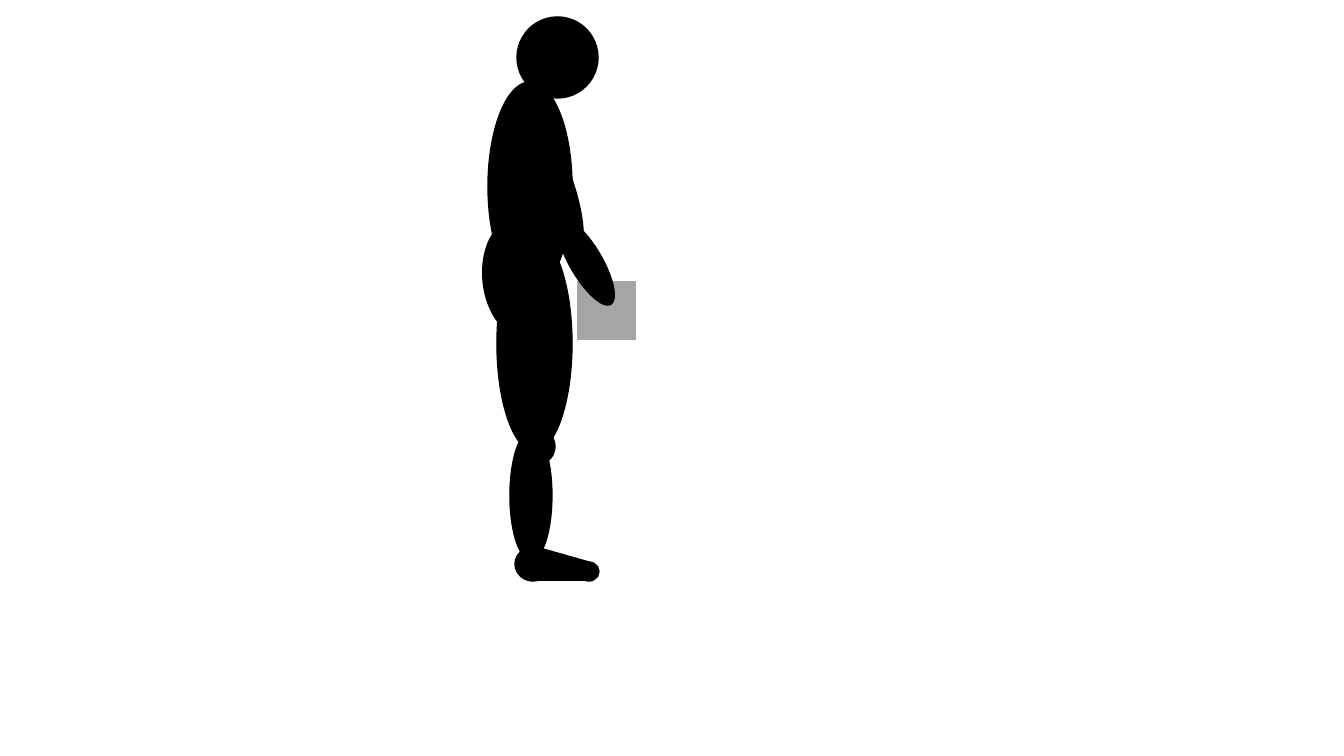
from lxml.etree import SubElement
from pptx import Presentation
from pptx.dml.color import RGBColor
from pptx.enum.shapes import MSO_SHAPE
from pptx.oxml.ns import qn
from pptx.util import Pt

SCALE = 914400 / 100.8
COLORS = {"body": "000000", "load": "A5A5A5"}
OVAL = MSO_SHAPE.OVAL
TRIANGLE = MSO_SHAPE.ISOSCELES_TRIANGLE
RECTANGLE = MSO_SHAPE.RECTANGLE


def px(length):
    return round(length * SCALE)


deck = Presentation()
deck.slide_width = px(1344)
deck.slide_height = px(756)
page = deck.slides.add_slide(deck.slide_layouts[6])
figure = page.shapes.add_group_shape()

parts = {
    "head": (OVAL, 517, 17, 81, 81, 0),
    "torso": (OVAL, 488, 82, 84, 209, 0),
    "thigh": (OVAL, 497, 236, 75, 215, 0),
    "shin": (OVAL, 510, 431, 42, 129, 0),
    "knee": (OVAL, 526, 430, 29, 33, 0),
    "hip": (OVAL, 483, 220, 72, 116, 354.5),
    "upper arm": (OVAL, 530, 112, 43, 148, 340.8),
    "heel": (OVAL, 515, 547, 36, 34, 0),
    "instep": (TRIANGLE, 536, 547, 53, 15, 0),
    "toe": (OVAL, 579, 562, 20, 19, 0),
    "sole": (RECTANGLE, 536, 562, 49, 18, 0),
    "load": (RECTANGLE, 578, 282, 57, 57, 0),
    "forearm": (OVAL, 570, 213, 32, 98, 329.6),
}

for part, (kind, left, top, width, height, angle) in parts.items():
    shape = figure.shapes.add_shape(kind, px(left), px(top), px(width), px(height))
    color = RGBColor.from_string(COLORS.get(part, COLORS["body"]))
    shape.rotation = angle
    shape.shadow.inherit = False
    shape.fill.solid()
    shape.fill.fore_color.rgb = color
    shape.line.color.rgb = color
    shape.line.width = Pt(1)
    outline = shape.element.spPr.find(qn("a:ln"))
    SubElement(outline, qn("a:miter"), lim="800000")
    if kind == TRIANGLE:
        shape.adjustments[0] = 0

deck.save("out.pptx")
